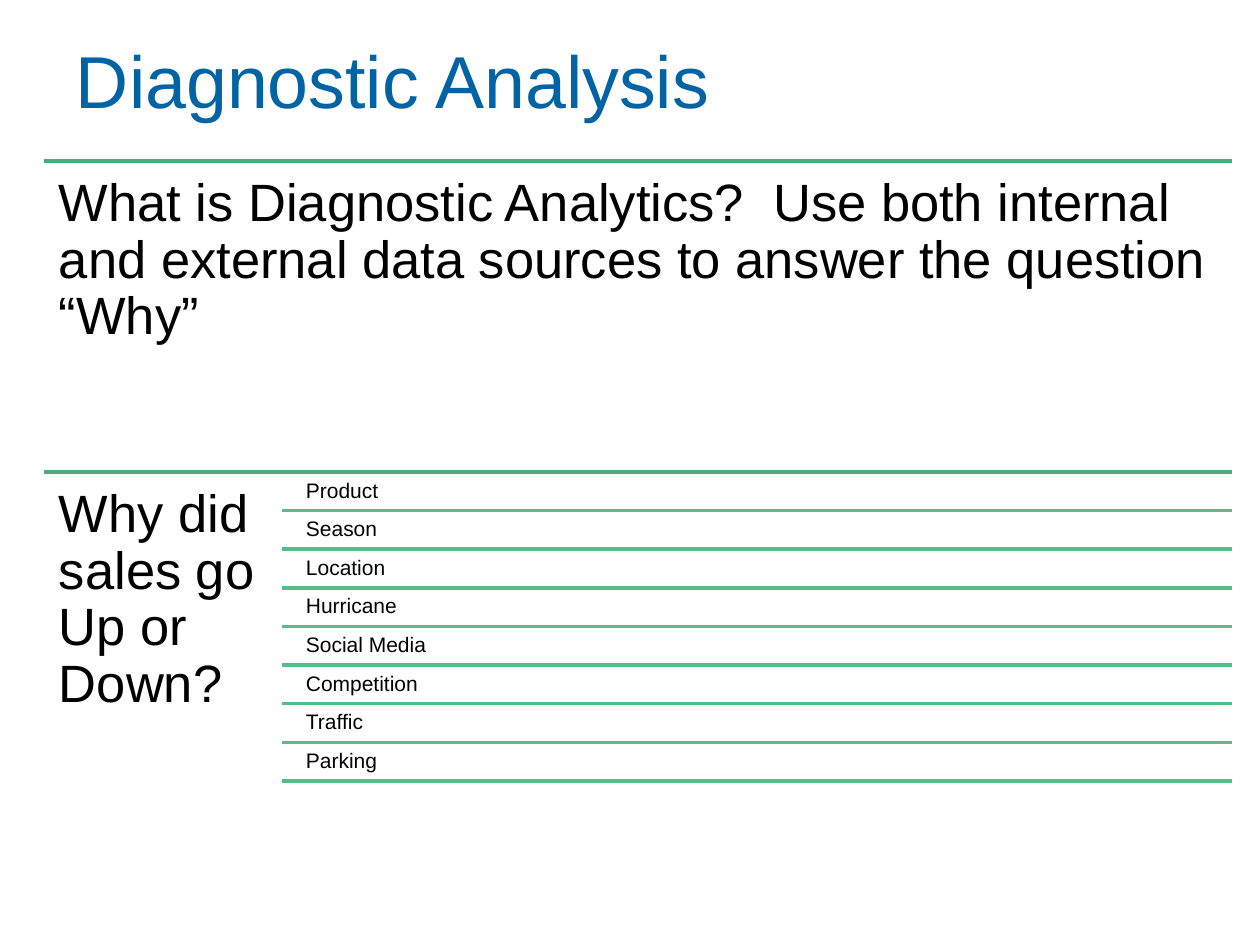
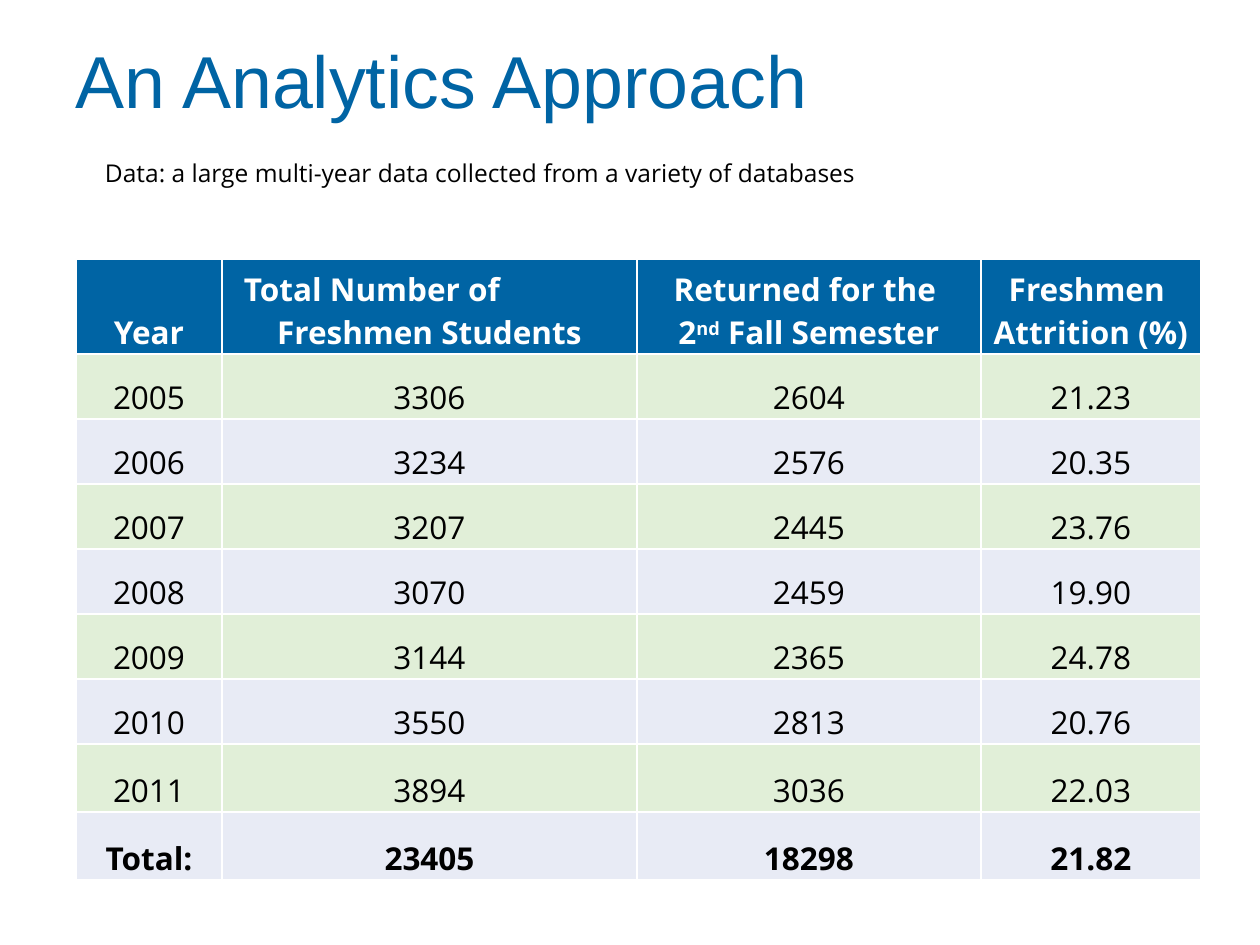
"""Build two slides on diagnostic analysis and an analytics approach."""
from lxml.etree import SubElement
from pptx import Presentation
from pptx.dml.color import RGBColor
from pptx.enum.shapes import MSO_CONNECTOR
from pptx.enum.text import MSO_ANCHOR, PP_ALIGN
from pptx.oxml.ns import qn
from pptx.util import Emu, Pt

BLUE, WHITE, BLACK = "0064A4", "FFFFFF", "000000"
GREEN, LIGHT_GREEN = "4FAA7D", "57BB8A"
ROW_FILLS = ("E1EFD8", "E8EBF5")
HEAD_FONT, BODY_FONT = "Arial", "Open Sans"

QUESTIONS = [
    ("What is Diagnostic Analytics?  Use both internal and external data sources "
     "to answer the question “Why”", 1188),
    ("Why did sales go Up or Down?", 238),
]
TOPICS = ["Product", "Season", "Location", "Hurricane",
          "Social Media", "Competition", "Traffic", "Parking"]

DATA_NOTE = "Data: a large multi-year data collected from a variety of databases"
HEADINGS = [
    [["Year"]],
    [["Total Number of"], ["Freshmen Students"]],
    [["Returned for the "], ["2", "nd", " Fall Semester"]],
    [["Freshmen "], ["Attrition (%)"]],
]
RECORDS = [
    ("2005", "3306", "2604", "21.23"),
    ("2006", "3234", "2576", "20.35"),
    ("2007", "3207", "2445", "23.76"),
    ("2008", "3070", "2459", "19.90"),
    ("2009", "3144", "2365", "24.78"),
    ("2010", "3550", "2813", "20.76"),
    ("2011", "3894", "3036", "22.03"),
    ("Total:", "23405", "18298", "21.82"),
]
COL_WIDTHS = (146, 415, 344, 220)
ROW_HEIGHTS = [95] + [65] * 6 + [68] * 2

LEFT, RIGHT = 44, 1232
BAND_TOP, BAND_HEIGHT = 161, 311
TOPIC_LEFT, TOPIC_SPAN = 282, 309


def px(n):
    return Emu(round(n * 914400 / 126))


def rgb(value):
    return RGBColor.from_string(value)


def style(p, size, color, name, bold=False):
    p.font.size, p.font.name, p.font.bold = Pt(size), name, bold
    p.font.color.rgb = rgb(color)


def indent(p, margin, first=0):
    pPr = p._p.get_or_add_pPr()
    pPr.set("marL", str(px(margin)))
    pPr.set("indent", str(px(first)))


def add_text(slide, box, text, size, color=BLACK, name=HEAD_FONT,
             insets=(13, 6), anchor=MSO_ANCHOR.TOP, spacing=0.9):
    tf = slide.shapes.add_textbox(*map(px, box)).text_frame
    tf.word_wrap = True
    tf.vertical_anchor = anchor
    tf.margin_left = tf.margin_right = px(insets[0])
    tf.margin_top = tf.margin_bottom = px(insets[1])
    p = tf.paragraphs[0]
    p.text = text
    p.line_spacing = spacing
    style(p, size, color, name)
    return p


def add_title(slide, text):
    add_text(slide, (63, 24, 1170, 122), text, 42, BLUE, anchor=MSO_ANCHOR.MIDDLE)


def add_rule(slide, left, y, color):
    line = slide.shapes.add_connector(
        MSO_CONNECTOR.STRAIGHT, px(left), px(y), px(RIGHT), px(y))
    line.line.color.rgb = rgb(color)
    line.line.width = Pt(2)
    SubElement(line._element.spPr, qn("a:effectLst"))


def fill_cell(cell, lines, fill, color, bold):
    cell.margin_left = cell.margin_right = cell.margin_top = cell.margin_bottom = 0
    cell.vertical_anchor = MSO_ANCHOR.BOTTOM
    tcPr = cell._tc.get_or_add_tcPr()
    for side in ("lnL", "lnR", "lnT", "lnB"):
        ln = SubElement(tcPr, qn(f"a:{side}"), w=str(Pt(1)))
        SubElement(SubElement(ln, qn("a:solidFill")), qn("a:srgbClr"), val=WHITE)
    cell.fill.solid()
    cell.fill.fore_color.rgb = rgb(fill)
    tf = cell.text_frame
    for i, parts in enumerate(lines):
        p = tf.add_paragraph() if i else tf.paragraphs[0]
        p.alignment = PP_ALIGN.CENTER
        style(p, 18, color, BODY_FONT, bold)
        for part in parts:
            r = p.add_run()
            r.text = part
            if part == "nd":
                r._r.get_or_add_rPr().set("baseline", "30000")


def build_diagnostic(slide):
    add_title(slide, "Diagnostic Analysis")
    for i, (question, width) in enumerate(QUESTIONS):
        top = BAND_TOP + i * BAND_HEIGHT
        add_rule(slide, LEFT, top, GREEN)
        add_text(slide, (LEFT, top, width, BAND_HEIGHT), question, 30, insets=(15, 15))
    pitch = TOPIC_SPAN / len(TOPICS)
    for i, topic in enumerate(TOPICS):
        y = top + i * pitch
        add_text(slide, (TOPIC_LEFT + 18, y + 2, 933, 37), topic, 12, insets=(6, 6))
        add_rule(slide, TOPIC_LEFT, y + pitch, LIGHT_GREEN)


def build_approach(slide):
    add_title(slide, "An Analytics Approach")
    rows = [HEADINGS] + [[[[value]] for value in record] for record in RECORDS]
    frame = slide.shapes.add_table(
        len(rows), len(COL_WIDTHS), px(76), px(259),
        px(sum(COL_WIDTHS)), px(sum(ROW_HEIGHTS)))
    table = frame.table
    table.horz_banding = False
    for column, width in zip(table.columns, COL_WIDTHS):
        column.width = px(width)
    for i, (row, height) in enumerate(zip(rows, ROW_HEIGHTS)):
        table.rows[i].height = px(height)
        fill = ROW_FILLS[(i - 1) % 2] if i else BLUE
        for j, lines in enumerate(row):
            fill_cell(table.cell(i, j), lines, fill, BLACK if i else WHITE,
                      bold=i in (0, len(rows) - 1))
    p = table.cell(0, 1).text_frame.paragraphs[0]
    p.alignment = PP_ALIGN.LEFT
    indent(p, 22)
    note = add_text(slide, (63, 160, 1170, 63), DATA_NOTE, 14,
                    name=BODY_FONT, spacing=0.7)
    indent(note, 48, -19)


def main():
    prs = Presentation()
    prs.slide_width, prs.slide_height = px(1260), px(945)
    for build in (build_diagnostic, build_approach):
        build(prs.slides.add_slide(prs.slide_layouts[6]))
    prs.save("out.pptx")


if __name__ == "__main__":
    main()
